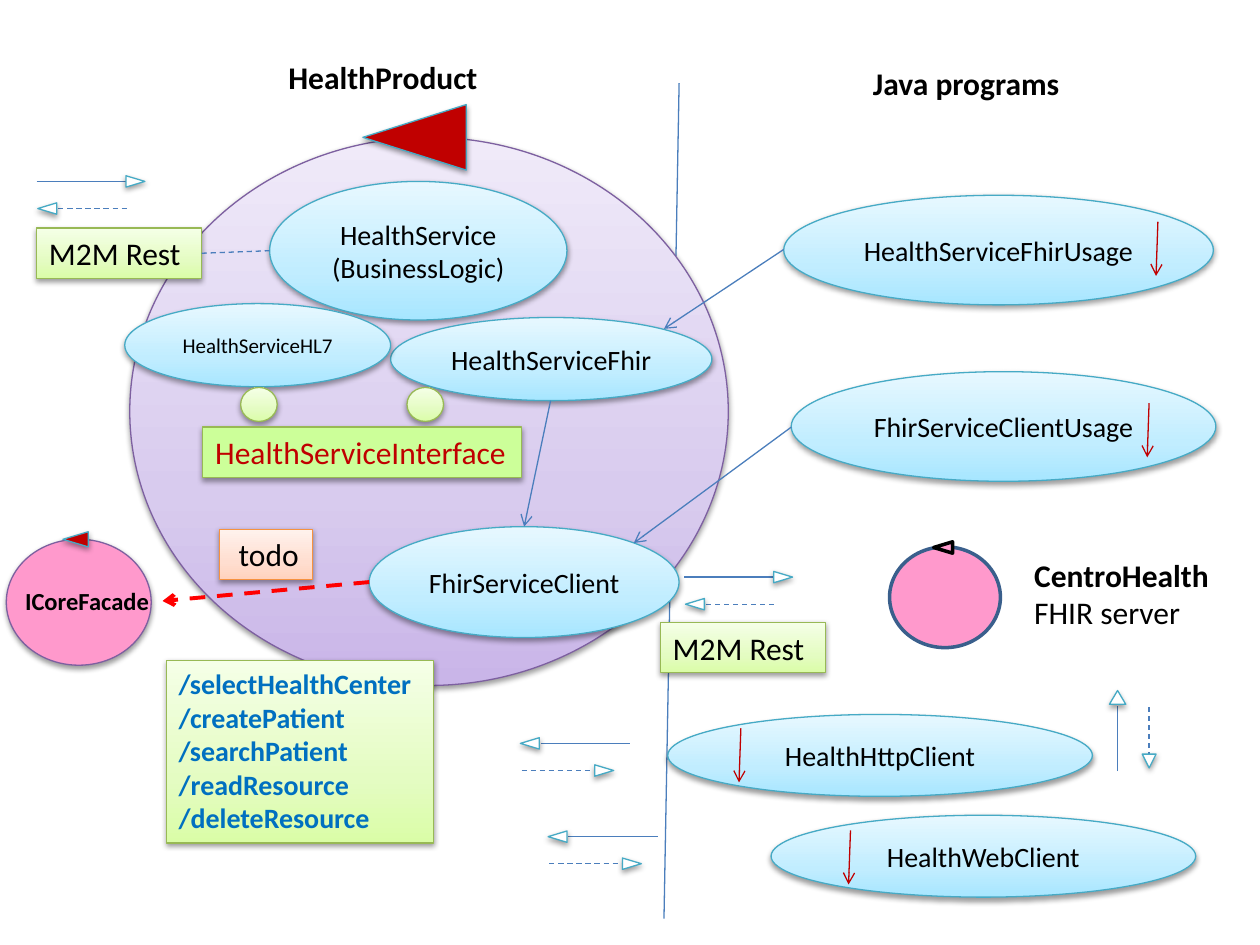
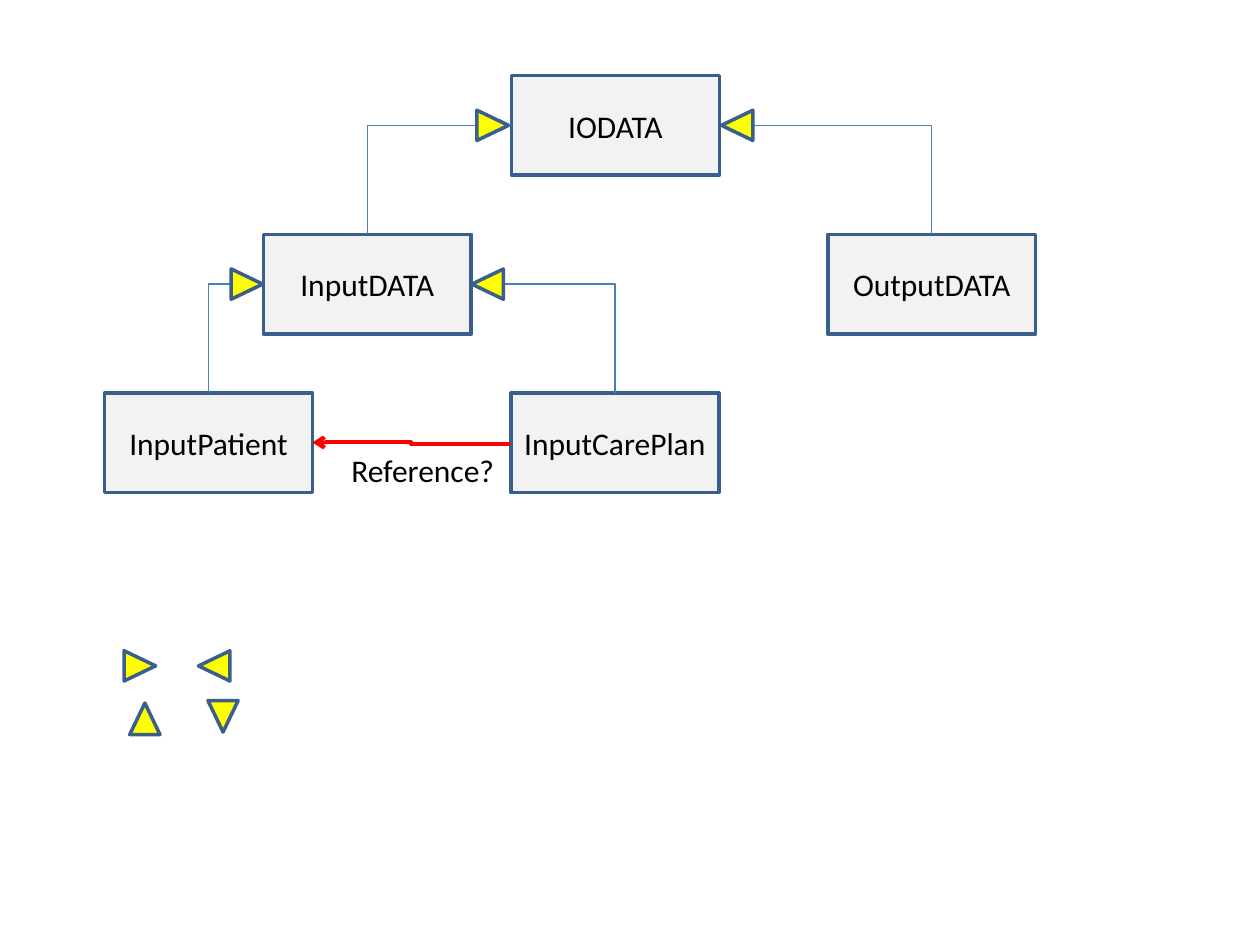
from copy import deepcopy
from dataclasses import dataclass
from typing import Optional

from lxml import etree
from pptx import Presentation
from pptx import util as u
from pptx.dml.color import RGBColor
from pptx.enum import dml, shapes, text
from pptx.oxml.ns import qn

# The slide is a grid of 100 columns by 75 rows
WIDTH, HEIGHT = u.Inches(10), u.Inches(7.5)
FONT = "Calibri"
OVAL = shapes.MSO_SHAPE.OVAL
RECT = shapes.MSO_SHAPE.RECTANGLE
TRIANGLE = shapes.MSO_SHAPE.ISOSCELES_TRIANGLE
RIGHT, DOWN, LEFT, UP = 90, 180, 270, 0

COLORS = {
    "black": "000000", "white": "FFFFFF", "grey": "F2F2F2", "yellow": "FFFF00",
    "pink": "FF99CC", "lime": "CCFF99", "red": "FF0000", "dark red": "C00000",
    "blue": "0070C0", "link": "4B7EBC", "navy": "3A5F8C", "teal": "46AAC5",
    "purple": "7D60A0", "olive": "98B955", "orange": "F69240",
}
# Gradients run from bottom to top
GRADIENTS = {
    "violet wash": ("C9B5E8", "D8CBEE", "F0EAF9"),
    "sky wash": ("A7E6FF", "C1EDFF", "E7F8FF"),
    "green wash": ("DAFDA7", "E4FCC2", "F5FFE7"),
    "peach wash": ("FFD2BD", "FFDED0", "FFF2ED"),
}


@dataclass(frozen=True)
class Style:
    fill: str
    line: str
    width: float = 0.75
    shadow: bool = True


@dataclass(frozen=True)
class Label:
    words: str
    size: int = 18
    color: str = "black"
    bold: bool = False
    fitted: bool = False  # left aligned, in a box that hugs its text


@dataclass(frozen=True)
class Node:
    x: float
    y: float
    w: float
    h: float
    label: Optional[Label] = None


SERVICE = Style("sky wash", "teal")
NOTE = Style("green wash", "olive")
MESSAGE_HEAD = Style("white", "teal")
FLAG = Style("dark red", "teal")
CLASS_BOX = Style("grey", "navy", 2, False)
INHERIT_HEAD = Style("yellow", "navy", 2, False)


def col(n: float) -> int:
    return round(WIDTH * n / 100)


def row(n: float) -> int:
    return round(HEIGHT * n / 75)


def rgb(name: str) -> RGBColor:
    return RGBColor.from_string(COLORS[name])


def paint(sp, style: Style) -> None:
    """Apply fill, outline and shadow."""
    if style.fill in GRADIENTS:
        sp.fill.gradient()
        sp.fill.gradient_angle = 90
        stops = sp._element.spPr.find(".//" + qn("a:gsLst"))
        stops.insert(1, deepcopy(stops[0]))
        for stop, at, tone in zip(sp.fill.gradient_stops, (0, 0.35, 1), GRADIENTS[style.fill]):
            stop.position = at
            stop.color.rgb = RGBColor.from_string(tone)
    else:
        sp.fill.solid()
        sp.fill.fore_color.rgb = rgb(style.fill)
    sp.line.color.rgb = rgb(style.line)
    sp.line.width = u.Pt(style.width)
    sp.shadow.inherit = False
    if style.shadow:
        effects = sp._element.spPr.find(qn("a:effectLst"))
        shade = etree.SubElement(effects, qn("a:outerShdw"), blurRad="40000", dist="20000",
                                 dir="5400000", rotWithShape="0")
        tone = etree.SubElement(shade, qn("a:srgbClr"), val=COLORS["black"])
        etree.SubElement(tone, qn("a:alpha"), val="38000")


def write(sp, label: Label) -> None:
    tf = sp.text_frame
    tf.text = label.words
    tf.word_wrap = not label.fitted
    tf.vertical_anchor = text.MSO_ANCHOR.TOP if label.fitted else text.MSO_ANCHOR.MIDDLE
    if label.fitted:
        tf.auto_size = text.MSO_AUTO_SIZE.SHAPE_TO_FIT_TEXT
    for p in tf.paragraphs:
        p.alignment = text.PP_ALIGN.LEFT if label.fitted else text.PP_ALIGN.CENTER
        p.font.name, p.font.size, p.font.bold = FONT, u.Pt(label.size), label.bold
        p.font.color.rgb = rgb(label.color)


def draw(s, kind, node: Node, style: Style):
    sp = s.shapes.add_shape(kind, col(node.x), row(node.y), col(node.w), row(node.h))
    paint(sp, style)
    if node.label:
        write(sp, node.label)
    return sp


def caption(s, node: Node):
    sp = s.shapes.add_textbox(col(node.x), row(node.y), col(node.w), row(node.h))
    write(sp, node.label)
    return sp


def head(s, cx: float, cy: float, facing: int, style: Style, base: float = 0.9, length: float = 1.5) -> None:
    """Triangle centred on a point and turned to face a direction."""
    sp = draw(s, TRIANGLE, Node(cx - base / 2, cy - length / 2, base, length), style)
    sp.rotation = facing


def link(s, x1: float, y1: float, x2: float, y2: float, color: str = "link", width: float = 0.75,
         dashed: bool = False, arrow: bool = False, kind=shapes.MSO_CONNECTOR.STRAIGHT):
    cx = s.shapes.add_connector(kind, col(x1), row(y1), col(x2), row(y2))
    cx.line.color.rgb = rgb(color)
    cx.line.width = u.Pt(width)
    if dashed:
        cx.line.dash_style = dml.MSO_LINE.DASH
    spPr = cx._element.spPr
    if arrow:
        etree.SubElement(spPr.find(qn("a:ln")), qn("a:tailEnd"), type="arrow")
    etree.SubElement(spPr, qn("a:effectLst"))
    return cx


def exchange(s, x: float, y: float, facing: int) -> None:
    """Solid request above a dashed reply that goes the other way."""
    if facing == RIGHT:
        request, reply, request_tip, reply_tip = 0, 0.3, 7.85, 0.85
    else:
        request, reply, request_tip, reply_tip = 1.5, 0, 0.65, 6.55
    link(s, x + request, y, x + request + 7.1, y)
    head(s, x + request_tip, y, facing, MESSAGE_HEAD)
    link(s, x + reply, y + 2.15, x + reply + 7.1, y + 2.15, dashed=True)
    head(s, x + reply_tip, y + 2.15, (facing + 180) % 360, MESSAGE_HEAD)


def inherit(s, child, parent, side: int) -> None:
    """Elbow from the child's top to the parent's side (1 left, 3 right)."""
    cx = link(s, 0, 0, 1, 1, arrow=True, kind=shapes.MSO_CONNECTOR.ELBOW)
    cx.begin_connect(child, 0)
    cx.end_connect(parent, side)
    x1, y1 = child.left + child.width // 2, child.top
    x2 = parent.left + (parent.width if side == 3 else 0)
    y2 = parent.top + parent.height // 2
    w, h = abs(y1 - y2), abs(x2 - x1)  # before the quarter turn
    cx.left, cx.top = (x1 + x2 - w) // 2, (y1 + y2 - h) // 2
    cx.width, cx.height = w, h
    xfrm = cx._element.spPr.find(qn("a:xfrm"))
    xfrm.set("rot", str((RIGHT if side == 1 else LEFT) * 60000))
    xfrm.set("flipH", "1" if side == 1 else "0")
    xfrm.set("flipV", "1")
    cx._element.spPr.find(qn("a:prstGeom")).set("prst", "bentConnector2")


def architecture(prs) -> None:
    s = prs.slides.add_slide(prs.slide_layouts[6])

    # Border between the product and the programs
    link(s, 53.9, 6.6, 52.7, 72.9)
    caption(s, Node(21.9, 4.1, 17.2, 4, Label("HealthProduct", bold=True, fitted=True)))
    caption(s, Node(68.3, 4.6, 16.9, 4, Label("Java programs", bold=True, fitted=True)))

    # Product with its active flag
    draw(s, OVAL, Node(10.3, 10.9, 47.5, 43.5), Style("violet wash", "purple"))
    head(s, 32.9, 10.9, LEFT, FLAG, 5.2, 8.2)

    # Services and programs
    services = [
        Node(21.4, 14.4, 23.6, 11, Label("HealthService\n(BusinessLogic)", 16)),
        Node(62.2, 15.5, 34.1, 8.7, Label("HealthServiceFhirUsage", 16)),
        Node(62.8, 29.5, 33.7, 8.7, Label("FhirServiceClientUsage", 16)),
        Node(31, 25.2, 25.5, 6.6, Label("HealthServiceFhir", 16)),
        Node(9.9, 24.1, 21.1, 6.6, Label("HealthServiceHL7", 12)),
        Node(53, 56.7, 33.7, 6.5, Label("HealthHttpClient", 16)),
        Node(61.2, 64.7, 33.7, 6.5, Label("HealthWebClient", 16)),
    ]
    for node in services:
        draw(s, OVAL, node, SERVICE)
    client = draw(s, OVAL, Node(29.3, 41.8, 24.6, 8.8, Label("FhirServiceClient", 16)), SERVICE)

    # Calls between services
    link(s, 43.7, 31.8, 41.6, 41.8, arrow=True).end_connect(client, 0)
    link(s, 62.2, 19.8, 52.7, 26.1, arrow=True)
    link(s, 62.8, 33.9, 50.3, 43.1, arrow=True)

    # Threads inside the programs
    for x, y in [(91.9, 17.6), (91.2, 32), (58.8, 57.8), (67.5, 65.9)]:
        link(s, x, y, x - 0.15, y + 4.3, color="dark red", arrow=True)

    # Interface with its two sockets
    for x in (19.1, 32.3):
        draw(s, OVAL, Node(x, 30.75, 2.9, 2.7), NOTE)
    draw(s, RECT, Node(16.1, 33.9, 25.3, 4, Label("HealthServiceInterface", color="dark red", fitted=True)),
         Style("lime", "olive"))

    # REST endpoints and message exchanges
    rest = Label("M2M Rest", fitted=True)
    front = draw(s, RECT, Node(2.9, 18.1, 13.1, 4, rest), NOTE)
    draw(s, RECT, Node(52.4, 49.4, 13.1, 4, rest), NOTE)
    link(s, 16, 20.1, 21.4, 19.9, dashed=True).begin_connect(front, 3)
    for x, y, facing in [(2.9, 14.4, RIGHT), (54.3, 45.8, RIGHT), (41.4, 59, LEFT), (43.6, 66.4, LEFT)]:
        exchange(s, x, y, facing)
    link(s, 88.7, 61.2, 88.7, 56)
    head(s, 88.7, 55.35, UP, MESSAGE_HEAD, 1.3, 1.1)
    link(s, 91.2, 60.8, 91.2, 55.8, dashed=True)
    head(s, 91.2, 60.4, DOWN, MESSAGE_HEAD, 1.1, 1.1)
    routes = "/selectHealthCenter\n/createPatient\n/searchPatient\n/readResource\n/deleteResource"
    draw(s, RECT, Node(13.2, 52.4, 21.2, 14.5, Label(routes, 16, "blue", True, True)), NOTE)

    # FHIR server
    draw(s, OVAL, Node(70.6, 43.4, 8.8, 8), Style("pink", "navy", 2, False))
    head(s, 74.85, 43.45, LEFT, Style("pink", "black", 2, False))
    server = caption(s, Node(81.1, 43.6, 16.6, 7.1, Label("CentroHealth\nFHIR server", fitted=True)))
    server.text_frame.paragraphs[0].font.bold = True

    # Facade still to be reached
    draw(s, OVAL, Node(0.5, 42.8, 11.5, 10), Style("pink", "purple"))
    head(s, 6, 42.8, LEFT, FLAG, 1.2, 2)
    caption(s, Node(1, 46, 11.9, 3.4, Label("ICoreFacade", 14, bold=True, fitted=True)))
    link(s, 29.3, 46.2, 12.9, 47.7, color="red", width=2.25, dashed=True, arrow=True)
    draw(s, RECT, Node(17.4, 42, 7.4, 4, Label(" todo", fitted=True)), Style("peach wash", "orange"))


def data_classes(prs) -> None:
    s = prs.slides.add_slide(prs.slide_layouts[6])

    # Class boxes, one level every 12.6 rows
    places = {"IODATA": (40.6, 0), "InputDATA": (20.9, 1), "OutputDATA": (65.7, 1),
              "InputPatient": (8.3, 2), "InputCarePlan": (40.55, 2)}
    boxes = {}
    for name, (x, level) in places.items():
        boxes[name] = draw(s, RECT, Node(x, 6 + 12.6 * level, 16.5, 7.9, Label(name)), CLASS_BOX)
        boxes[name].text_frame.margin_left = boxes[name].text_frame.margin_right = u.Inches(0.05)

    # Inheritance
    for child, parent, side in [("InputDATA", "IODATA", 1), ("OutputDATA", "IODATA", 3),
                                ("InputPatient", "InputDATA", 1), ("InputCarePlan", "InputDATA", 3)]:
        inherit(s, boxes[child], boxes[parent], side)

    # Heads on the inheritance lines, then the four loose ones
    for x, y, facing in [(39.1, 9.95, RIGHT), (58.5, 9.95, LEFT), (19.6, 22.55, RIGHT), (38.7, 22.55, LEFT),
                         (11.1, 52.85, RIGHT), (17, 52.85, LEFT), (11.5, 57.05, UP), (17.7, 56.85, DOWN)]:
        head(s, x, y, facing, INHERIT_HEAD, 2.4, 2.5)

    # Open question
    link(s, 40.5, 35.25, 24.8, 35.12, color="red", width=2.25, arrow=True, kind=shapes.MSO_CONNECTOR.ELBOW)
    caption(s, Node(26.9, 35.3, 13.5, 4, Label("Reference?", fitted=True)))


def main() -> None:
    prs = Presentation()
    prs.slide_width, prs.slide_height = WIDTH, HEIGHT
    architecture(prs)
    data_classes(prs)
    prs.save("out.pptx")


if __name__ == "__main__":
    main()
